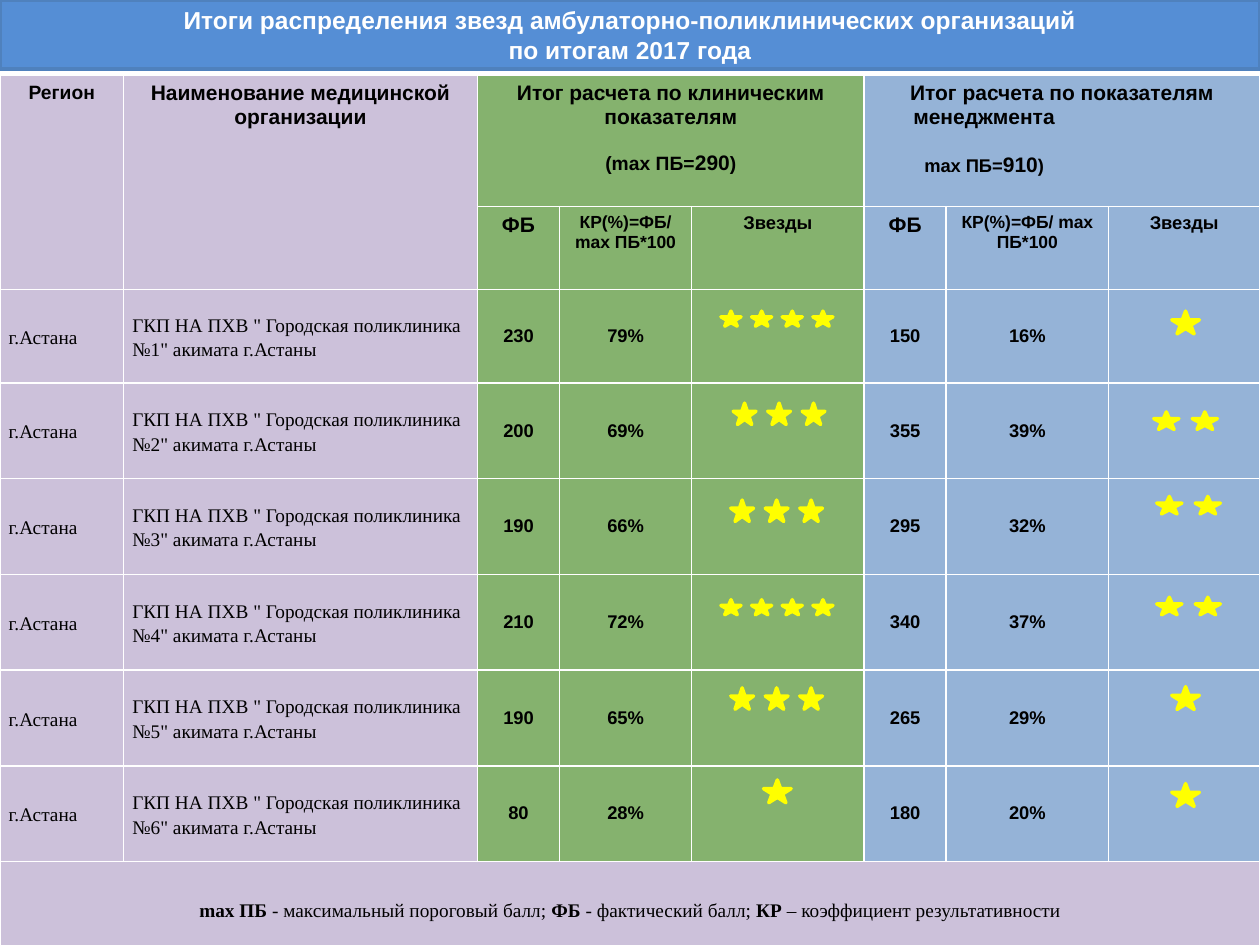
import dataclasses
import typing

import lxml.etree
import pptx
import pptx.dml.color
import pptx.enum.shapes
import pptx.enum.text
import pptx.oxml.ns
import pptx.util

Pt = pptx.util.Pt
Align = pptx.enum.text.PP_ALIGN
Anchor = pptx.enum.text.MSO_ANCHOR
Kind = pptx.enum.shapes.MSO_SHAPE


@dataclasses.dataclass(frozen=True)
class Theme:
    blue: str = "558ED5"
    edge: str = "4F81BD"
    lilac: str = "CCC1DA"
    green: str = "85B26E"
    sky: str = "95B3D7"
    star: str = "FFFF00"
    white: str = "FFFFFF"
    black: str = "000000"
    sans: str = "Arial"
    serif: str = "Times New Roman"
    title: float = 14
    head: float = 12
    body: float = 11
    value: float = 10.5
    small: float = 10


THEME = Theme()


class Run(typing.NamedTuple):
    text: str
    size: float
    bold: bool = True


class Para(typing.NamedTuple):
    runs: list[Run]
    before: float = 0
    right: float = 0


class Stars(typing.NamedTuple):
    count: int
    left: float
    top: float


class Score(typing.NamedTuple):
    points: int
    rate: int
    stars: Stars


class Clinic(typing.NamedTuple):
    care: Score
    admin: Score


class Look(typing.NamedTuple):
    fill: str
    font: str = THEME.sans
    align: Align = Align.CENTER
    anchor: Anchor = Anchor.TOP
    side: float = 7.2
    edge: float = 3.6
    space: float = 1


SIZES = {1: (15.8, 13, 0), 2: (14.4, 10, 22), 3: (13, 12.2, 19.7), 4: (11.5, 8.6, 17.5)}
COLS = [70.6, 202.3, 46.8, 75.6, 98.6, 46.8, 92.9, 86.4]
ROWS = [74.9, 47.5, 53.3] + [54.7] * 6
CLINICS = [
    Clinic(Score(230, 79, Stars(4, 412, 177.8)), Score(150, 16, Stars(1, 669.6, 177.8))),
    Clinic(Score(200, 69, Stars(3, 419, 230.4)), Score(355, 39, Stars(2, 659.3, 235.4))),
    Clinic(Score(190, 66, Stars(3, 417.6, 285.8)), Score(295, 32, Stars(2, 661, 283.7))),
    Clinic(Score(210, 72, Stars(4, 412, 342.7)), Score(340, 37, Stars(2, 661, 341.3))),
    Clinic(Score(190, 65, Stars(3, 417.6, 393.1)), Score(265, 29, Stars(1, 669.6, 392.4))),
    Clinic(Score(80, 28, Stars(1, 436.3, 445.7)), Score(180, 20, Stars(1, 669.6, 447.8))),
]


def color(code: str) -> pptx.dml.color.RGBColor:
    return pptx.dml.color.RGBColor.from_string(code)


def line(text: str, size: float, before: float = 0, right: float = 0) -> Para:
    return Para([Run(text, size)], before, right)


def border(cell) -> None:
    props = cell._tc.get_or_add_tcPr()
    for index, side in enumerate(("lnL", "lnR", "lnT", "lnB")):
        edge = lxml.etree.Element(pptx.oxml.ns.qn("a:" + side), w=str(Pt(1)))
        fill = lxml.etree.SubElement(edge, pptx.oxml.ns.qn("a:solidFill"))
        lxml.etree.SubElement(fill, pptx.oxml.ns.qn("a:srgbClr"), val=THEME.white)
        props.insert(index, edge)


def write(cell, look: Look, paras: list[Para]) -> None:
    cell.fill.solid()
    cell.fill.fore_color.rgb = color(look.fill)
    cell.vertical_anchor = look.anchor
    cell.margin_left = cell.margin_right = Pt(look.side)
    cell.margin_top = cell.margin_bottom = Pt(look.edge)
    frame = cell.text_frame
    for index, para in enumerate(paras):
        part = frame.add_paragraph() if index else frame.paragraphs[0]
        part.alignment = look.align
        part.line_spacing = look.space
        if para.before:
            part.space_before = Pt(para.before)
        if para.right:
            part._p.get_or_add_pPr().set("marR", str(Pt(para.right)))
        part.font.name = look.font
        part.font.color.rgb = color(THEME.black)
        for item in para.runs:
            run = part.add_run()
            run.text = item.text
            run.font.size = Pt(item.size)
            run.font.bold = item.bold


def draw_stars(slide, stars: Stars) -> None:
    width, height, step = SIZES[stars.count]
    for index in range(stars.count):
        shape = slide.shapes.add_shape(
            Kind.STAR_5_POINT, Pt(stars.left + index * step), Pt(stars.top), Pt(width), Pt(height))
        shape.shadow.inherit = False
        shape.fill.solid()
        shape.fill.fore_color.rgb = shape.line.color.rgb = color(THEME.star)
        shape.line.width = Pt(2)
        lxml.etree.SubElement(shape.line._get_or_add_ln(), pptx.oxml.ns.qn("a:round"))


def draw_title(slide) -> None:
    shape = slide.shapes.add_shape(Kind.RECTANGLE, 0, 0, Pt(720), Pt(39.6))
    shape.shadow.inherit = False
    shape.fill.solid()
    shape.fill.fore_color.rgb = color(THEME.blue)
    shape.line.color.rgb = color(THEME.edge)
    shape.line.width = Pt(2)
    shape.text_frame.word_wrap = True
    shape.text_frame.vertical_anchor = Anchor.MIDDLE
    para = shape.text_frame.paragraphs[0]
    para.text = "Итоги распределения звезд амбулаторно-поликлинических организаций\vпо итогам 2017 года"
    para.alignment = Align.CENTER
    para.font.name = THEME.sans
    para.font.size = Pt(THEME.title)
    para.font.bold = True
    para.font.color.rgb = color(THEME.white)


def fill_head(table) -> None:
    head, body, value = THEME.head, THEME.body, THEME.value
    lilac, green, sky = (Look(fill) for fill in (THEME.lilac, THEME.green, THEME.sky))
    write(table.cell(0, 0), lilac, [line("Регион", body)])
    write(table.cell(0, 1), lilac, [line("Наименование медицинской организации", head)])
    write(table.cell(0, 2), green, [
        line("Итог расчета по клиническим показателям", head),
        Para([Run("(mах ПБ=", body), Run("290", head), Run(")", body)], 12.6)])
    write(table.cell(0, 5), sky, [
        line("Итог расчета по показателям", head),
        line("менеджмента", head, right=89),
        Para([Run("mах ПБ=", value), Run("910", head), Run(")", value)], 13.8)])
    for col, look in ((2, green), (5, sky)):
        write(table.cell(1, col), look, [line("ФБ", head)])
        write(table.cell(1, col + 1), look, [line("КР(%)=ФБ/ mах ПБ*100", THEME.small)])
        write(table.cell(1, col + 2), look, [line("Звезды", value)])
        table.cell(0, col).merge(table.cell(0, col + 2))
    for col in (0, 1):
        table.cell(0, col).merge(table.cell(1, col))


def fill_body(table) -> None:
    label = Look(THEME.lilac, THEME.serif, Align.LEFT, Anchor.MIDDLE, 5, 0, 1.15)
    for row, clinic in enumerate(CLINICS, 2):
        name = f'ГКП НА ПХВ " Городская поликлиника №{row - 1}" акимата г.Астаны'
        for col, text in enumerate(("г.Астана", name)):
            write(table.cell(row, col), label, [Para([Run(text, THEME.body, False)])])
        for col, score, fill in ((2, clinic.care, THEME.green), (5, clinic.admin, THEME.sky)):
            look = Look(fill, anchor=Anchor.MIDDLE, side=0, edge=0)
            write(table.cell(row, col), look, [line(str(score.points), THEME.value)])
            write(table.cell(row, col + 1), look, [line(f"{score.rate}%", THEME.value)])
            write(table.cell(row, col + 2), look, [])
    notes = [("mах ПБ ", True), ("- максимальный пороговый балл; ", False), ("ФБ", True),
             (" - фактический балл; ", False), ("КР", True), (" – коэффициент результативности", False)]
    write(table.cell(8, 0), dataclasses.replace(label, align=Align.CENTER)
          if dataclasses.is_dataclass(label) else label._replace(align=Align.CENTER),
          [Para([Run(text, THEME.body, bold) for text, bold in notes])])
    table.cell(8, 0).merge(table.cell(8, 7))


def draw_table(slide) -> None:
    table = slide.shapes.add_table(len(ROWS), len(COLS), 0, Pt(43.2), Pt(720), Pt(sum(ROWS))).table
    for col, width in zip(table.columns, COLS):
        col.width = Pt(width)
    for row, height in zip(table.rows, ROWS):
        row.height = Pt(height)
    fill_head(table)
    fill_body(table)
    for cell in table.iter_cells():
        border(cell)


def main() -> None:
    deck = pptx.Presentation()
    deck.slide_width, deck.slide_height = Pt(720), Pt(540)
    slide = deck.slides.add_slide(deck.slide_layouts[6])
    draw_title(slide)
    draw_table(slide)
    for clinic in CLINICS:
        for score in clinic:
            draw_stars(slide, score.stars)
    deck.save("out.pptx")


if __name__ == "__main__":
    main()
